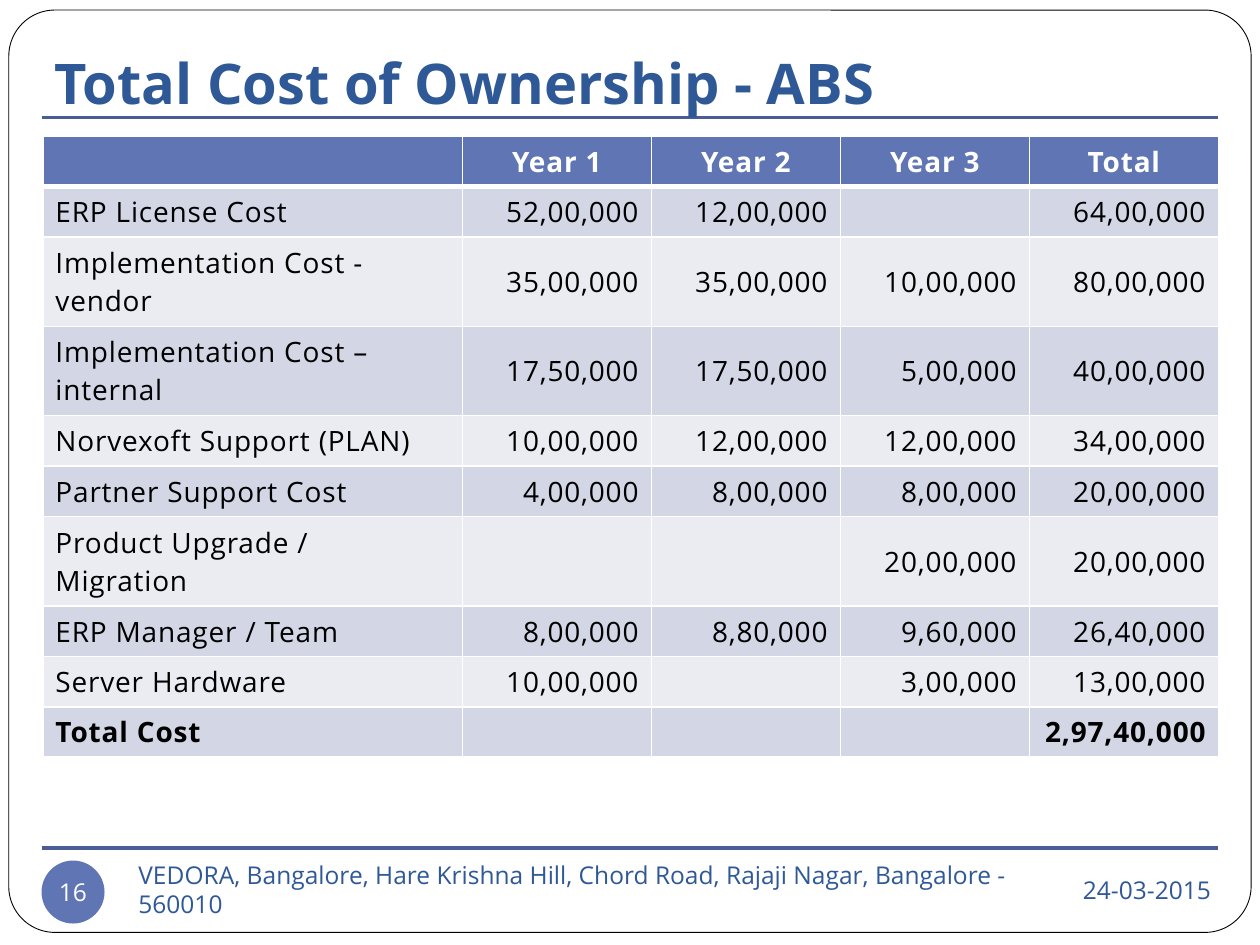
"""Build the three-year total cost of ownership slide."""
from lxml.etree import SubElement
from pptx import Presentation
from pptx.dml.color import RGBColor
from pptx.enum.shapes import MSO_CONNECTOR, MSO_SHAPE
from pptx.enum.text import MSO_ANCHOR, MSO_AUTO_SIZE, PP_ALIGN
from pptx.oxml.ns import qn
from pptx.util import Inches, Pt

NAVY = "2F5897"
BLUE = "6076B4"
WHITE = "FFFFFF"
BANDS = ["EAECF2", "D2D6E5"]
COSTS = [
    ["", "Year 1", "Year 2", "Year 3", "Total"],
    ["ERP License Cost", "52,00,000", "12,00,000", "", "64,00,000"],
    ["Implementation Cost - vendor", "35,00,000", "35,00,000", "10,00,000", "80,00,000"],
    ["Implementation Cost – internal", "17,50,000", "17,50,000", "5,00,000", "40,00,000"],
    ["Norvexoft Support (PLAN)", "10,00,000", "12,00,000", "12,00,000", "34,00,000"],
    ["Partner Support Cost", "4,00,000", "8,00,000", "8,00,000", "20,00,000"],
    ["Product Upgrade / Migration", "", "", "20,00,000", "20,00,000"],
    ["ERP Manager / Team", "8,00,000", "8,80,000", "9,60,000", "26,40,000"],
    ["Server Hardware", "10,00,000", "", "3,00,000", "13,00,000"],
    ["Total Cost", "", "", "", "2,97,40,000"],
]
LONG_LABEL = 25


def rgb(value):
    """Turn a hex string into a colour."""
    return RGBColor.from_string(value)


def write(frame, text, size=14, color=NAVY, bold=False, align=PP_ALIGN.LEFT,
          anchor=MSO_ANCHOR.MIDDLE, spacing=0, tracking=0):
    """Write one formatted paragraph into a text frame."""
    frame.word_wrap = True
    frame.vertical_anchor = anchor
    paragraph = frame.paragraphs[0]
    paragraph.alignment = align
    paragraph.space_before = paragraph.space_after = Pt(spacing)
    if not text:
        SubElement(paragraph._p, qn("a:endParaRPr"), sz=str(size * 100))
        return
    run = paragraph.add_run()
    run.text = text
    run.font.name = "Open Sans"
    run.font.size = Pt(size)
    run.font.bold = bold
    run.font.color.rgb = rgb(color)
    if tracking:
        run.font._element.set("spc", str(int(tracking * 100)))


prs = Presentation()
prs.slide_width, prs.slide_height = Inches(10), Inches(7.5)
slide = prs.slides.add_slide(prs.slide_layouts[5])
shapes = slide.shapes

panel = shapes.add_shape(MSO_SHAPE.ROUNDED_RECTANGLE, Inches(0.07), Inches(0.08),
                         Inches(9.86), Inches(7.32))
panel.adjustments[0] = 0.05
panel.shadow.inherit = False
panel.fill.solid()
panel.fill.fore_color.rgb = rgb(WHITE)
panel.line.color.rgb = rgb("000000")
panel.line.width = Pt(0.5)

for y in (0.93, 6.73):
    rule = shapes.add_connector(MSO_CONNECTOR.STRAIGHT, Inches(0.33), Inches(y),
                                Inches(9.67), Inches(y))
    rule.line.color.rgb = rgb("4A5D94")
    rule.line.width = Pt(1.75)
    SubElement(rule._element.spPr, qn("a:effectLst"))

title = shapes.title
shapes._spTree.append(title._element)
title.left, title.top = Inches(0.33), Inches(0)
title.width, title.height = Inches(7.5), Inches(0.92)
title.text_frame.auto_size = MSO_AUTO_SIZE.NONE
title.text_frame.margin_bottom = 0
write(title.text_frame, "Total Cost of Ownership - ABS", size=32, bold=True,
      anchor=MSO_ANCHOR.BOTTOM)

date = shapes.add_textbox(Inches(7), Inches(6.8), Inches(2.71), Inches(0.52))
write(date.text_frame, "24-03-2015", align=PP_ALIGN.RIGHT)
address = shapes.add_textbox(Inches(1), Inches(6.81), Inches(7.58), Inches(0.5))
write(address.text_frame,
      "VEDORA, Bangalore, Hare Krishna Hill, Chord Road, Rajaji Nagar, Bangalore - 560010")

page_number = shapes.add_shape(MSO_SHAPE.OVAL, Inches(0.33), Inches(6.83),
                               Inches(0.5), Inches(0.5))
page_number.shadow.inherit = False
page_number.fill.solid()
page_number.fill.fore_color.rgb = rgb(BLUE)
page_number.line.fill.background()
number_frame = page_number.text_frame
number_frame.margin_left = number_frame.margin_right = 0
number_frame.margin_top = number_frame.margin_bottom = 0
write(number_frame, "16", color=WHITE, align=PP_ALIGN.CENTER)
number_frame.word_wrap = False

cost_table = shapes.add_table(len(COSTS), len(COSTS[0]), Inches(0.34), Inches(1.08),
                              Inches(9.33), Inches(4.95)).table
for column, width in zip(cost_table.columns, [3.33] + [1.5] * 4):
    column.width = Inches(width)

for r, costs in enumerate(COSTS):
    header, total = r == 0, r == len(COSTS) - 1
    cost_table.rows[r].height = Inches(0.71 if len(costs[0]) > LONG_LABEL else 0.4)
    for c, text in enumerate(costs):
        cell = cost_table.cell(r, c)
        cell.vertical_anchor = MSO_ANCHOR.MIDDLE
        if c == 0:
            cell.margin_right = Inches(0.13)
        align = PP_ALIGN.CENTER if header else PP_ALIGN.RIGHT if c else PP_ALIGN.LEFT
        write(cell.text_frame, text, size=16, color=WHITE if header else "000000",
              bold=header or total, align=align, spacing=6, tracking=0.5)
        properties = cell._tc.get_or_add_tcPr()
        for side in "LRTB":
            thick = (header and side == "B") or (r == 1 and side == "T")
            border = SubElement(properties, qn(f"a:ln{side}"), w=str(Pt(3 if thick else 1)))
            SubElement(SubElement(border, qn("a:solidFill")), qn("a:srgbClr"), val=WHITE)
        cell.fill.solid()
        cell.fill.fore_color.rgb = rgb(BLUE if header else BANDS[r % 2])

prs.save("out.pptx")
